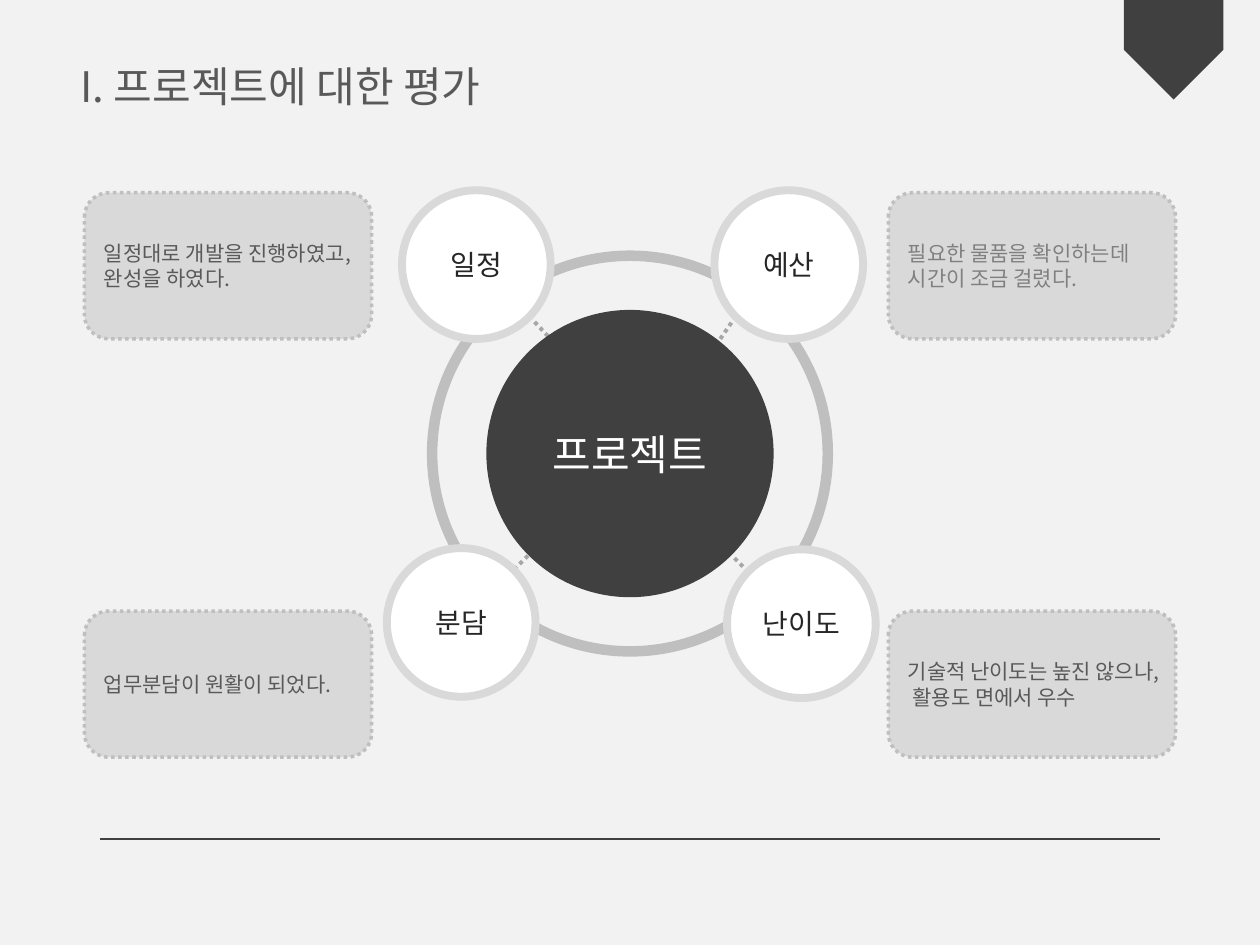
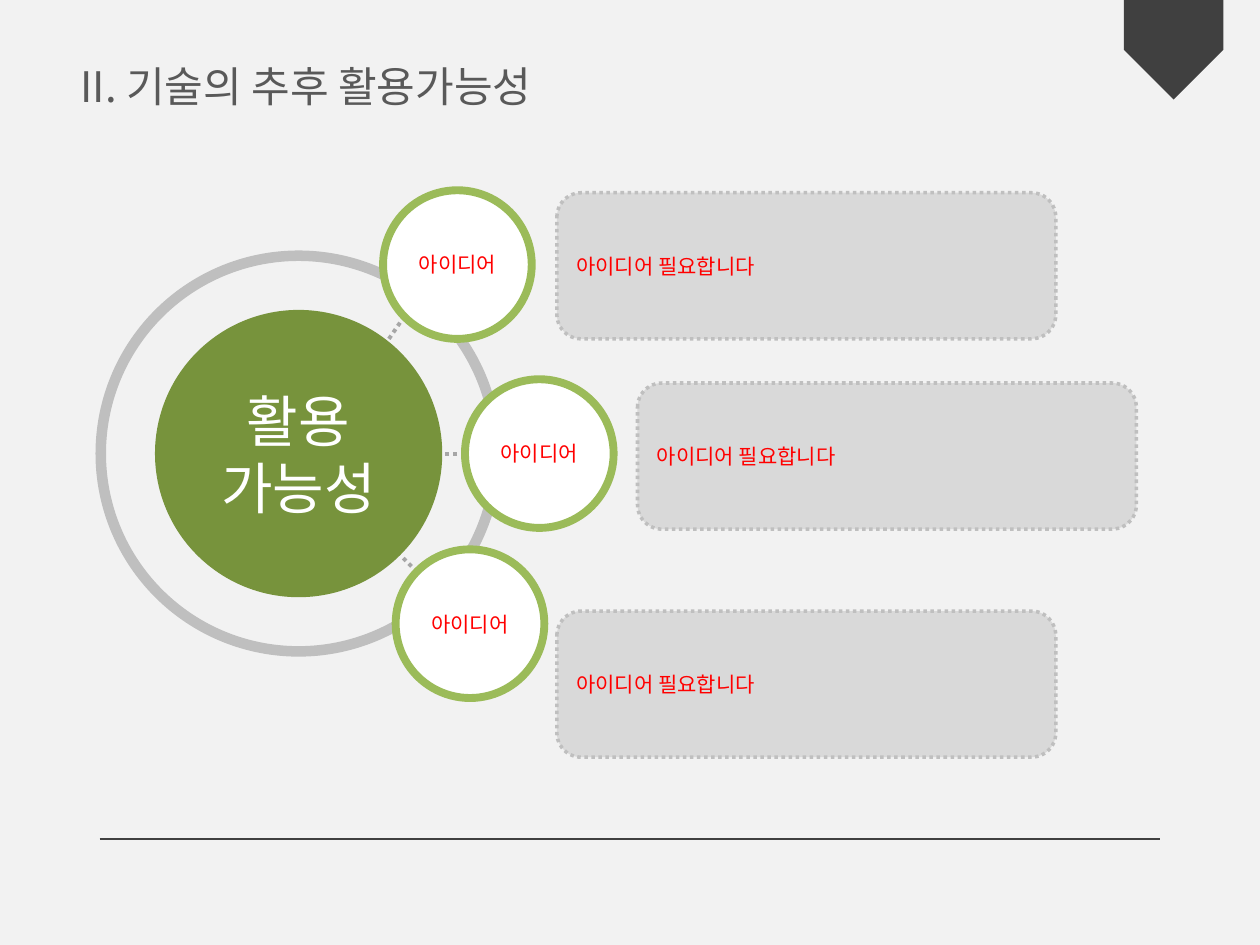
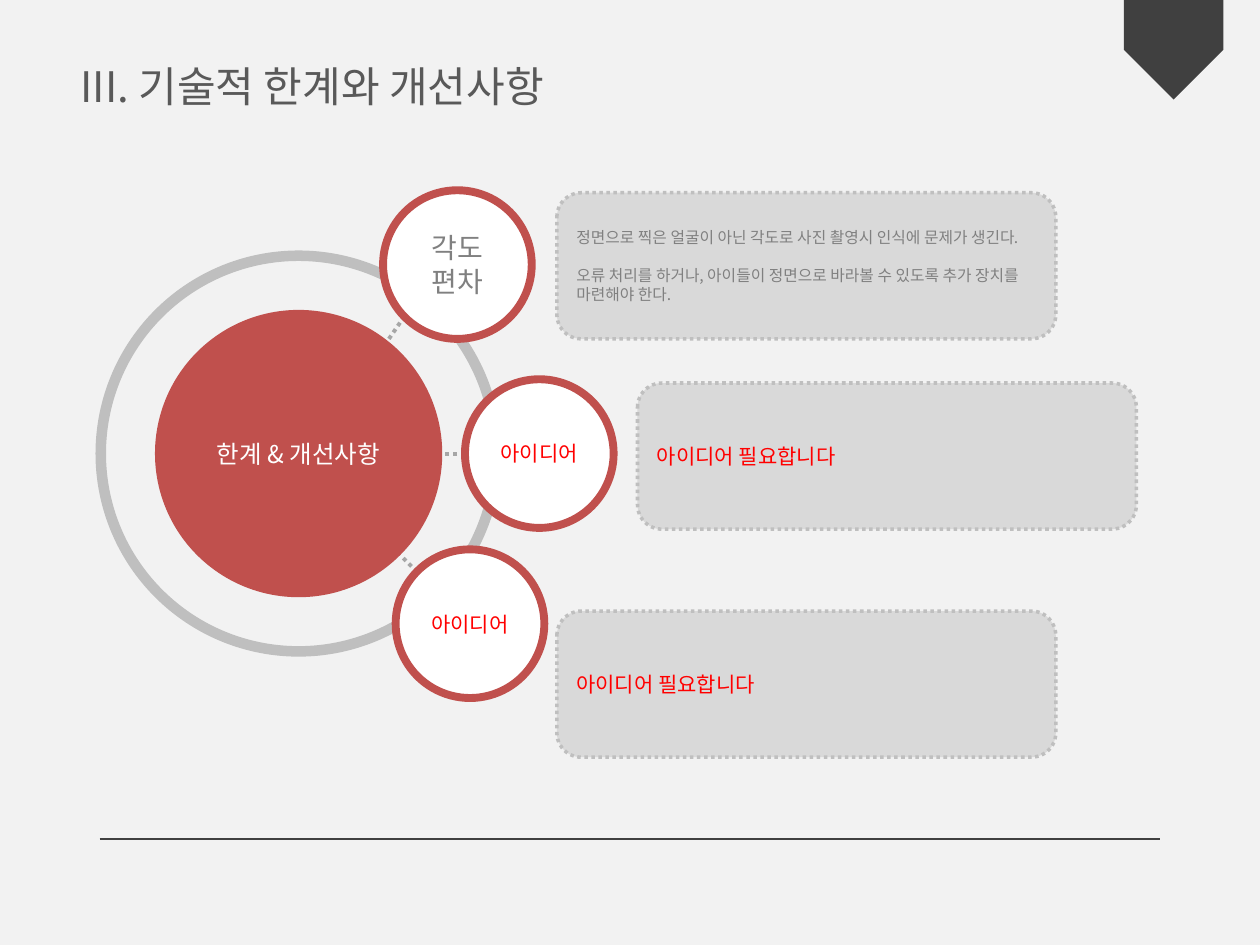
from lxml.etree import SubElement
from pptx import Presentation
from pptx.dml.color import RGBColor
from pptx.enum.dml import MSO_LINE
from pptx.enum.shapes import MSO_CONNECTOR, MSO_SHAPE
from pptx.enum.text import MSO_ANCHOR, PP_ALIGN
from pptx.oxml.ns import qn
from pptx.util import Inches, Pt

FONT = "Noto Sans CJK KR"
BACKGROUND = RGBColor(0xF2, 0xF2, 0xF2)
WHITE = RGBColor(0xFF, 0xFF, 0xFF)
PANEL = RGBColor(0xD9, 0xD9, 0xD9)
BORDER = RGBColor(0xBF, 0xBF, 0xBF)
SPOKE = RGBColor(0xA6, 0xA6, 0xA6)
MUTED = RGBColor(0x80, 0x80, 0x80)
GRAY = RGBColor(0x59, 0x59, 0x59)
DARK = RGBColor(0x40, 0x40, 0x40)
INK = RGBColor(0x26, 0x26, 0x26)
RED = RGBColor(0xFF, 0x00, 0x00)
GREEN = RGBColor(0x9B, 0xBB, 0x59)
DEEP_GREEN = RGBColor(0x77, 0x93, 0x3C)
BRICK = RGBColor(0xC0, 0x50, 0x4D)

RING_TOP, RING_SIZE = 2.03, 3.14
HUB_TOP, HUB_SIZE = 2.46, 2.28
NODE_SIZE = 1.18
PANEL_HEIGHT = 1.16

# Node and panel positions are (left, top); spokes are (x1, y1, x2, y2).
FOUR_WAY = {
    "center": 5,
    "panel_width": 2.28,
    "spokes": [(4.2, 2.51, 4.53, 2.86), (5.84, 2.51, 5.6, 2.86),
               (4.08, 4.52, 4.19, 4.41), (5.94, 4.54, 5.81, 4.41)],
    "nodes": [(3.19, 1.51), (5.67, 1.51), (3.07, 4.35), (5.77, 4.36)],
    "panels": [(0.67, 1.53), (7.05, 1.53), (0.67, 4.85), (7.05, 4.85)],
}
THREE_WAY = {
    "center": 2.37,
    "panel_width": 3.96,
    "spokes": [(3.21, 2.51, 2.97, 2.86), (3.69, 3.6, 3.51, 3.6),
               (3.31, 4.54, 3.18, 4.41)],
    "nodes": [(3.04, 1.51), (3.69, 3.01), (3.14, 4.36)],
    "panels": [(4.42, 1.53), (5.06, 3.04), (4.42, 4.85)],
}

# Every text is (wording, size, colour); \v breaks a line, \n starts a paragraph.
IDEA = ("아이디어", 12, RED)
IDEA_NEEDED = ("아이디어 필요합니다", 12, RED)
SLIDES = [
    {
        "title": "I. 프로젝트에 대한 평가", "title_width": 3.39,
        "layout": FOUR_WAY, "hub_color": DARK, "node_color": PANEL,
        "hub": ("프로젝트", 24, WHITE),
        "nodes": [(name, 16, INK) for name in ("일정", "예산", "분담", "난이도")],
        "panels": [
            ("일정대로 개발을 진행하였고, 완성을 하였다.", 12, GRAY),
            ("필요한 물품을 확인하는데\v시간이 조금 걸렸다.", 12, MUTED),
            ("업무분담이 원활이 되었다.", 12, GRAY),
            ("기술적 난이도는 높진 않으나, 활용도 면에서 우수", 12, GRAY),
        ],
    },
    {
        "title": "II. 기술의 추후 활용가능성", "title_width": 3.8,
        "layout": THREE_WAY, "hub_color": DEEP_GREEN, "node_color": GREEN,
        "hub": ("활용\v가능성", 32, WHITE),
        "nodes": [IDEA] * 3,
        "panels": [IDEA_NEEDED] * 3,
    },
    {
        "title": "III. 기술적 한계와 개선사항", "title_width": 3.9,
        "layout": THREE_WAY, "hub_color": BRICK, "node_color": BRICK,
        "hub": ("한계 & 개선사항", 14, WHITE),
        "nodes": [("각도\v편차", 16, MUTED), IDEA, IDEA],
        "panels": [
            ("정면으로 찍은 얼굴이 아닌 각도로 사진 촬영시 인식에 문제가 생긴다.\n"
             "오류 처리를 하거나, 아이들이 정면으로 바라볼 수 있도록 추가 장치를 "
             "마련해야 한다.", 9, MUTED),
            IDEA_NEEDED, IDEA_NEEDED,
        ],
    },
]


def add_shape(slide, kind, left, top, width, height, fill=None, line=None, weight=0):
    shape = slide.shapes.add_shape(
        kind, Inches(left), Inches(top), Inches(width), Inches(height))
    shape.shadow.inherit = False
    if fill is None:
        shape.fill.background()
    else:
        shape.fill.solid()
        shape.fill.fore_color.rgb = fill
    if line is None:
        shape.line.fill.background()
    else:
        shape.line.color.rgb = line
        shape.line.width = Pt(weight)
    return shape


def write(shape, text, size, color, align=PP_ALIGN.LEFT, anchor=MSO_ANCHOR.MIDDLE):
    frame = shape.text_frame
    frame.word_wrap = True
    frame.vertical_anchor = anchor
    frame.text = text
    for number, paragraph in enumerate(frame.paragraphs):
        paragraph.alignment = align
        if number:
            paragraph.space_before = Pt(size * 1.2)
        paragraph.font.size = Pt(size)
        paragraph.font.color.rgb = color
        paragraph.font.name = FONT
        for run in paragraph.runs:
            properties = run._r.get_or_add_rPr()
            SubElement(properties, qn("a:ea"), typeface=FONT)


presentation = Presentation()
presentation.slide_width = Inches(10)
presentation.slide_height = Inches(7.5)
background = presentation.slide_master.background.fill
background.solid()
background.fore_color.rgb = BACKGROUND

for content in SLIDES:
    slide = presentation.slides.add_slide(presentation.slide_layouts[6])
    layout = content["layout"]

    title = slide.shapes.add_textbox(
        Inches(0.54), Inches(0.43), Inches(content["title_width"]), Inches(0.5))
    write(title, content["title"], 24, GRAY, anchor=MSO_ANCHOR.TOP)

    ribbon = add_shape(slide, MSO_SHAPE.PENTAGON, 8.92, 0, 0.79, 0.79, DARK)
    ribbon.rotation = 90

    footer_rule = ((0.79, 6.66, 9.21, 6.66), DARK, 0.75, MSO_LINE.SOLID)
    spokes = [(ends, SPOKE, 2.25, MSO_LINE.ROUND_DOT) for ends in layout["spokes"]]
    for ends, color, weight, dash in [footer_rule, *spokes]:
        connector = slide.shapes.add_connector(
            MSO_CONNECTOR.STRAIGHT, *[Inches(value) for value in ends])
        connector.line.color.rgb = color
        connector.line.width = Pt(weight)
        connector.line.dash_style = dash
        SubElement(connector._element.spPr, qn("a:effectLst"))

    add_shape(slide, MSO_SHAPE.OVAL, layout["center"] - RING_SIZE / 2, RING_TOP,
              RING_SIZE, RING_SIZE, line=BORDER, weight=6)

    for (left, top), label in zip(layout["nodes"], content["nodes"]):
        node = add_shape(slide, MSO_SHAPE.OVAL, left, top, NODE_SIZE, NODE_SIZE,
                         WHITE, content["node_color"], 4.5)
        write(node, *label, align=PP_ALIGN.CENTER)

    hub = add_shape(slide, MSO_SHAPE.OVAL, layout["center"] - HUB_SIZE / 2, HUB_TOP,
                    HUB_SIZE, HUB_SIZE, content["hub_color"])
    write(hub, *content["hub"], align=PP_ALIGN.CENTER)

    for (left, top), label in zip(layout["panels"], content["panels"]):
        panel = add_shape(slide, MSO_SHAPE.ROUNDED_RECTANGLE, left, top,
                          layout["panel_width"], PANEL_HEIGHT, PANEL, BORDER, 2)
        panel.line.dash_style = MSO_LINE.ROUND_DOT
        write(panel, *label)

presentation.save("out.pptx")
